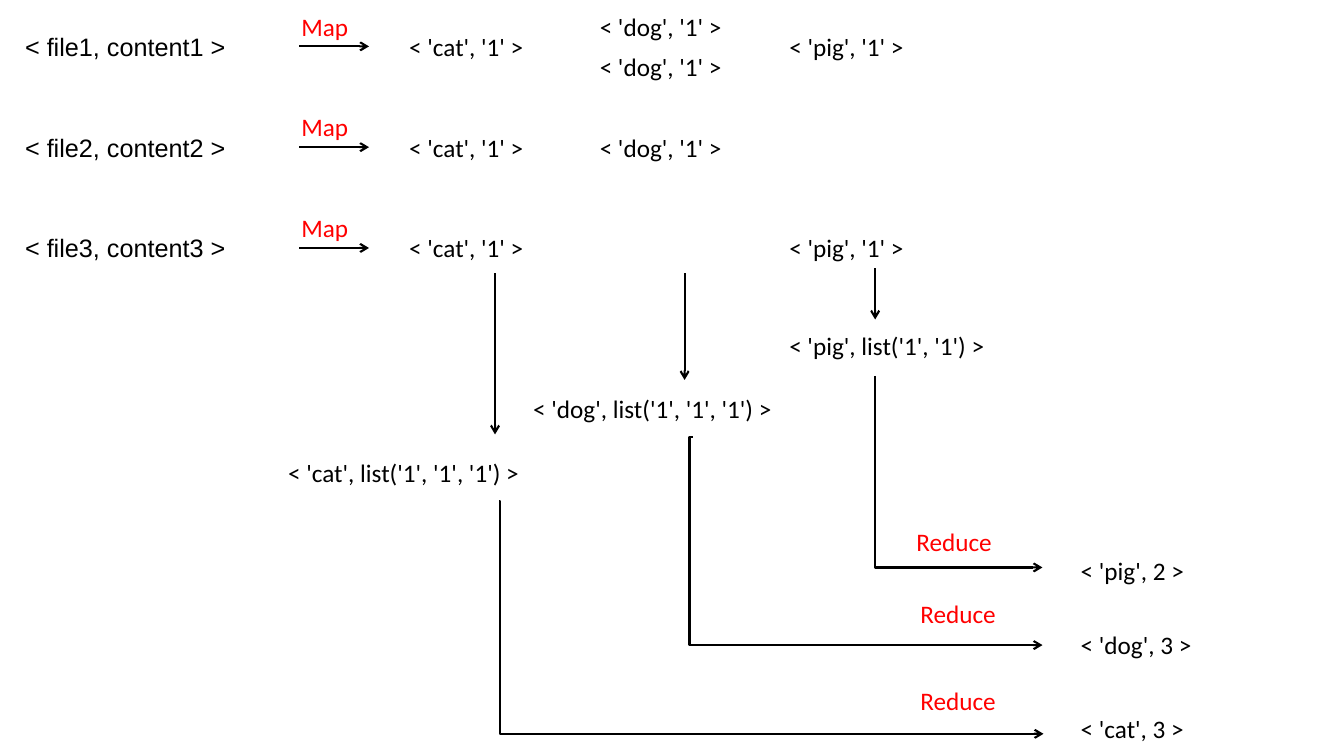
"""Build a slide that traces a word count through map and reduce."""
from typing import NamedTuple

from lxml import etree
from pptx import Presentation
from pptx.dml.color import RGBColor
from pptx.enum.shapes import MSO_CONNECTOR
from pptx.enum.text import MSO_AUTO_SIZE
from pptx.oxml.ns import qn
from pptx.util import Inches, Pt

STRAIGHT, ELBOW = MSO_CONNECTOR.STRAIGHT, MSO_CONNECTOR.ELBOW
FIT = MSO_AUTO_SIZE.SHAPE_TO_FIT_TEXT
COLORS = {"text": "000000", "step": "FF0000", "line": "000000"}
LABEL_H = 0.4
PAIR_W, LIST_W = 1.88, 3.84
ROW_TOP, ROW_STEP = 0.26, 1.0
RESULT_X = 10.62


class Label(NamedTuple):
    text: str
    x: float
    y: float
    w: float
    color: str = "text"
    font: str = "Calibri"


class Arrow(NamedTuple):
    x1: float
    y1: float
    x2: float
    y2: float
    bend_x: float | None = None


class Word(NamedTuple):
    name: str
    x: float
    pair_tops: tuple[float, ...]
    group_arrow: Arrow
    ones: int
    list_x: float
    list_y: float
    reduce_arrow: Arrow
    reduce_x: float
    reduce_y: float
    result_y: float


WORDS = [
    Word("cat", 3.96, (0.26, 1.26, 2.26), Arrow(4.91, 2.71, 4.91, 4.31), 3, 2.76, 4.49,
         Arrow(4.95, 4.97, 10.35, 7.28, 4.96), 9.03, 6.75, 7.03),
    Word("dog", 5.85, (0.06, 0.46, 1.26), Arrow(6.79, 2.71, 6.79, 3.77), 3, 5.19, 3.85,
         Arrow(6.87, 4.34, 10.34, 6.4, 6.84), 9.03, 5.89, 6.19),
    Word("pig", 7.73, (0.26, 2.26), Arrow(8.68, 2.66, 8.68, 3.17), 2, 7.73, 3.23,
         Arrow(8.68, 3.73, 10.34, 5.63, 8.68), 8.99, 5.17, 5.46),
]


def add_label(s, label: Label) -> None:
    """Add one line of text."""
    box = s.shapes.add_textbox(Inches(label.x), Inches(label.y), Inches(label.w), Inches(LABEL_H))
    tf = box.text_frame
    tf.word_wrap = True
    tf.auto_size = FIT
    p = tf.paragraphs[0]
    p.text = label.text
    p.font.name = label.font
    p.font.size = Pt(18)
    p.font.color.rgb = RGBColor.from_string(COLORS[label.color])


def add_arrow(s, arrow: Arrow) -> None:
    """Add a straight arrow, or an elbow whose vertical part is at bend_x."""
    kind = STRAIGHT if arrow.bend_x is None else ELBOW
    line = s.shapes.add_connector(kind, Inches(arrow.x1), Inches(arrow.y1),
                                  Inches(arrow.x2), Inches(arrow.y2))
    line.line.color.rgb = RGBColor.from_string(COLORS["line"])
    line.line.width = Pt(1.5)
    sp_pr = line._element.spPr
    etree.SubElement(sp_pr.find(qn("a:ln")), qn("a:tailEnd"), type="arrow")
    etree.SubElement(sp_pr, qn("a:effectLst"))
    if arrow.bend_x is not None:
        share = round((arrow.bend_x - arrow.x1) / (arrow.x2 - arrow.x1) * 100000)
        guides = sp_pr.find(qn("a:prstGeom")).find(qn("a:avLst"))
        etree.SubElement(guides, qn("a:gd"), name="adj1", fmla=f"val {share}")


def add_file(s, row: int) -> None:
    """Add an input file with its map arrow."""
    y = ROW_TOP + row * ROW_STEP
    add_label(s, Label(f"< file{row + 1}, content{row + 1} >", 0.15, y, 2.82, font="Arial"))
    add_label(s, Label("Map", 2.89, y - 0.2, 0.84, "step"))
    add_arrow(s, Arrow(2.97, y + 0.2, 3.66, y + 0.2))


def add_word(s, word: Word) -> None:
    """Add a word's pairs, grouped list and reduced count."""
    for y in word.pair_tops:
        add_label(s, Label(f"< '{word.name}', '1' >", word.x, y, PAIR_W))
    add_arrow(s, word.group_arrow)
    ones = ", ".join(["'1'"] * word.ones)
    add_label(s, Label(f"< '{word.name}', list({ones}) >", word.list_x, word.list_y, LIST_W))
    add_arrow(s, word.reduce_arrow)
    add_label(s, Label("Reduce", word.reduce_x, word.reduce_y, 1.33, "step"))
    add_label(s, Label(f"< '{word.name}', {word.ones} >", RESULT_X, word.result_y, PAIR_W))


def main() -> None:
    """Build and save the slide."""
    prs = Presentation()
    prs.slide_width, prs.slide_height = Inches(13.33), Inches(7.5)
    s = prs.slides.add_slide(prs.slide_layouts[6])
    for row in range(3):
        add_file(s, row)
    for word in WORDS:
        add_word(s, word)
    prs.save("out.pptx")


main()
